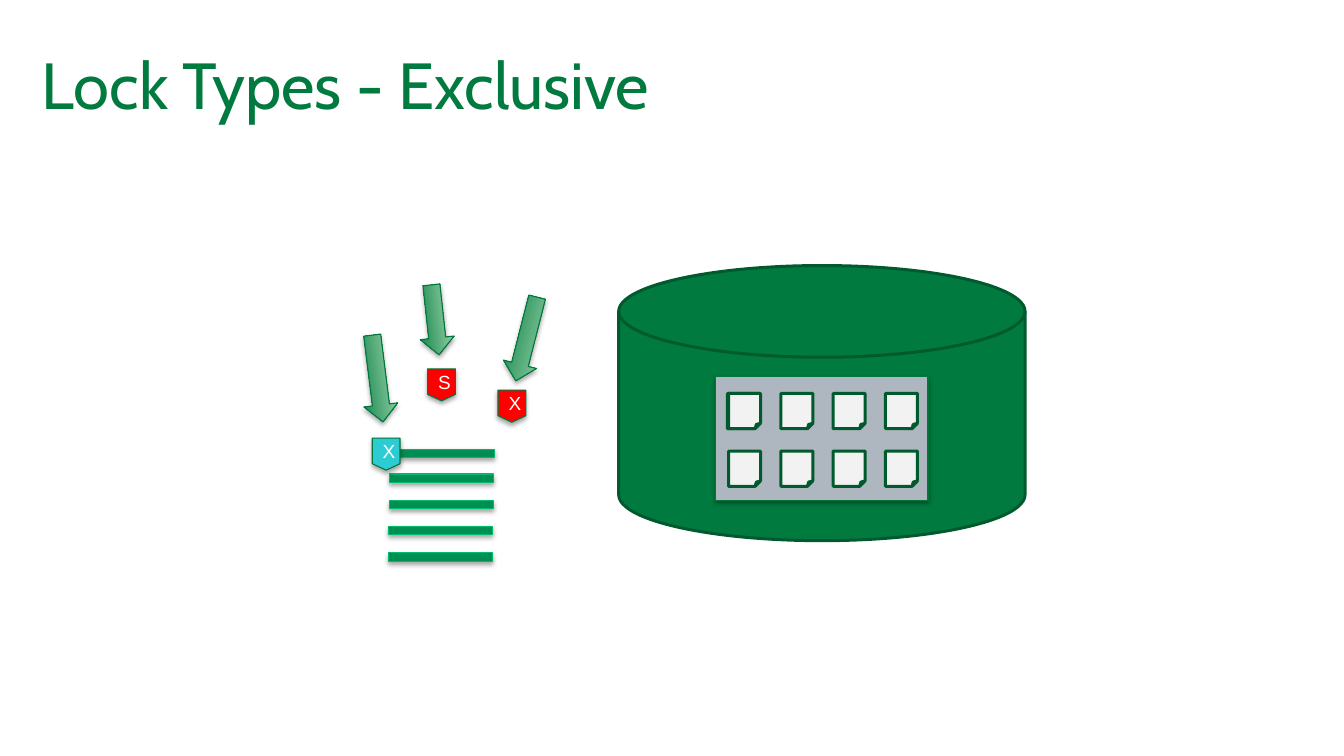
from typing import Any, NamedTuple

from lxml.etree import SubElement
from pptx import Presentation
from pptx.dml.color import RGBColor
from pptx.enum.shapes import MSO_SHAPE as Kind
from pptx.enum.text import MSO_ANCHOR, PP_ALIGN
from pptx.oxml.ns import qn
from pptx.util import Pt

GREEN, DARK, EDGE, WHITE = "007A3E", "005A2E", "00773D", "FFFFFF"


class Style(NamedTuple):
    kind: Kind
    fill: str
    line: str
    width: float = 0.75
    shade: bool = True
    fade: str = ""


class Part(NamedTuple):
    style: Style
    left: float
    top: float
    wide: float
    high: float
    turn: float = 0
    text: str = ""


DISK = Style(Kind.FLOWCHART_MAGNETIC_DISK, GREEN, DARK, 2, False)
PANEL = Style(Kind.RECTANGLE, "AEB6C0", EDGE)
PAGE = Style(Kind.FOLDED_CORNER, "F2F2F2", DARK, 2, False)
ROW = Style(Kind.MATH_MINUS, "008F53", "00BB6D")
HELD = Style(Kind.FLOWCHART_OFFPAGE_CONNECTOR, "2DCCD3", EDGE)
WAIT = HELD._replace(fill="FF0000")
ARROW = Style(Kind.RIGHT_ARROW, GREEN, EDGE, fade="ABDDB6")


def color(code: str) -> RGBColor:
    return RGBColor.from_string(code)


def apply(item: Any, form: dict[str, Any]) -> None:
    for name, value in form.items():
        setattr(item, name, value)


def write(frame: Any, text: str, form: dict[str, Any], size: float,
          font: str, code: str, align: PP_ALIGN) -> None:
    apply(frame, {"vertical_anchor": MSO_ANCHOR.MIDDLE, "word_wrap": True} | form)
    para = frame.paragraphs[0]
    para.alignment = align
    run = para.add_run()
    run.text = text
    apply(run.font, {"size": Pt(size), "name": font})
    run.font.color.rgb = color(code)


def shadow(shape: Any) -> None:
    list_ = shape._element.spPr.find(qn("a:effectLst"))
    outer = SubElement(list_, qn("a:outerShdw"), blurRad="40000", dist="23000",
                       dir="5400000", rotWithShape="0")
    black = SubElement(outer, qn("a:srgbClr"), val="000000")
    SubElement(black, qn("a:alpha"), val="35000")


def draw(slide: Any, part: Part) -> None:
    style = part.style
    box = (Pt(n) for n in (part.left, part.top, part.wide, part.high))
    shape = slide.shapes.add_shape(style.kind, *box)
    shape.rotation = part.turn
    shape.shadow.inherit = False
    if style.shade:
        shadow(shape)
    if style.fade:
        shape.fill.gradient()
        shape.fill.gradient_angle = 90
        for stop, code in zip(shape.fill.gradient_stops, (style.fill, style.fade)):
            stop.color.rgb = color(code)
    else:
        shape.fill.solid()
        shape.fill.fore_color.rgb = color(style.fill)
    shape.line.color.rgb = color(style.line)
    shape.line.width = Pt(style.width)
    if part.text:
        write(shape.text_frame, part.text, {}, 12.8, "Arial", WHITE, PP_ALIGN.CENTER)


def main() -> None:
    deck = Presentation()
    apply(deck, {"slide_width": Pt(907.2), "slide_height": Pt(510.5)})
    slide = deck.slides.add_slide(deck.slide_layouts[6])

    # Title
    title = slide.shapes.add_textbox(Pt(28.1), Pt(28.1), Pt(850.3), Pt(56.9))
    sides = ("left", "top", "right", "bottom")
    write(title.text_frame, "Lock Types - Exclusive",
          {f"margin_{side}": 0 for side in sides}, 44, "Cabin", GREEN, PP_ALIGN.LEFT)

    # Database with its pages, the first one doubled
    parts = [Part(DISK, 417.6, 179.3, 274.3, 185.8),
             Part(PANEL, 483.1, 254.2, 143.3, 83.5),
             Part(PAGE, 491, 265.7, 21.6, 23.8)]
    parts += [Part(PAGE, 491.8 + 35.3 * col, 265.7 + 38.9 * row, 21.6, 23.8)
              for row in range(2) for col in range(4)]

    # Table rows
    rows = ((251.3, 294.5), (250.6, 311), (250.6, 329), (249.8, 346.3), (249.8, 364.3))
    parts += [Part(ROW, left, top, 95, 23.8) for left, top in rows]

    # Locks and the requests that point at them
    locks = ((HELD, 251.3, 295.9, "X"), (WAIT, 336.2, 263.5, "X"), (WAIT, 288.7, 249.1, "S"))
    parts += [Part(style, left, top, 18.7, 21.6, text=text)
              for style, left, top, text in locks]
    calls = ((225.4, 244.1, 59, 82.9), (326.2, 217.4, 58.3, 104.3), (270, 204.5, 47.5, 83.8))
    parts += [Part(ARROW, left, top, wide, 23, turn) for left, top, wide, turn in calls]

    for part in parts:
        draw(slide, part)
    deck.save("out.pptx")


if __name__ == "__main__":
    main()
